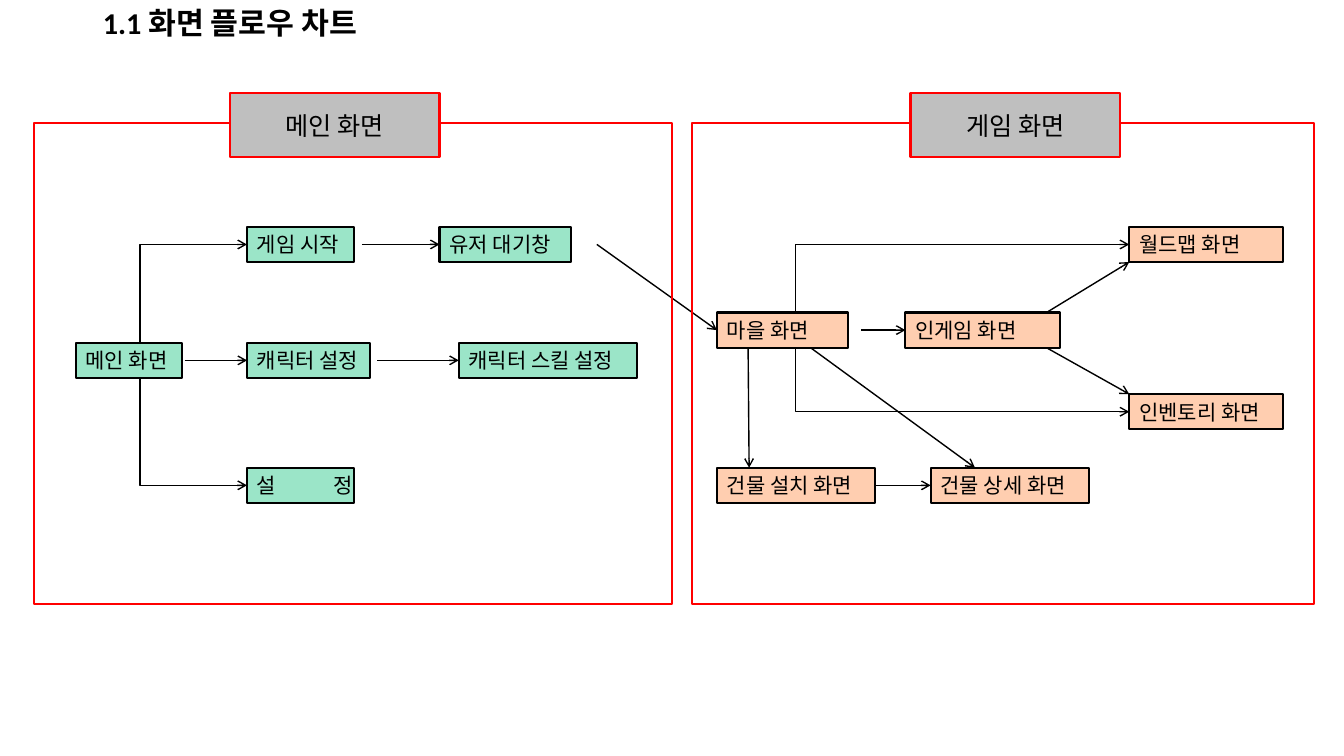
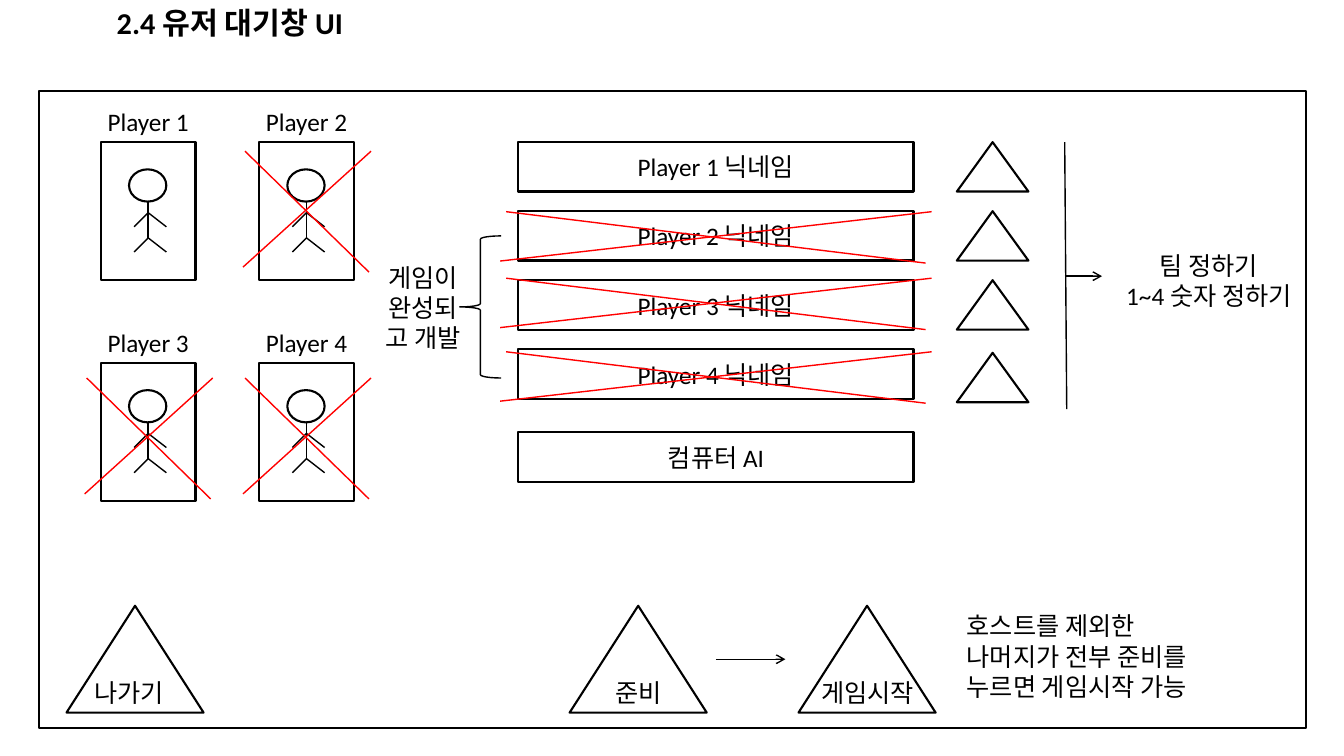
from dataclasses import dataclass

from lxml.etree import SubElement
from pptx import Presentation
from pptx.dml.color import RGBColor
from pptx.enum.shapes import MSO_CONNECTOR as LINK, MSO_SHAPE as SHAPE
from pptx.enum.text import MSO_ANCHOR as ANCHOR, MSO_AUTO_SIZE as FIT, PP_ALIGN as ALIGN
from pptx.oxml.ns import qn
from pptx.util import Inches, Pt

# Shared style, lengths in inches
FONT = "Calibri"
BLACK, RED, GRAY = "000000", "FF0000", "BFBFBF"
MINT, PEACH = "9BE5C8", "FFCEB0"
TITLE_SIZE, BODY_SIZE, NODE_SIZE = 21.6, 18, 15
OUTLINE, THIN = 1.5, 1
NODE_H = 0.35


@dataclass
class Node:
    """A screen in the flow chart."""
    text: str
    x: float
    y: float
    w: float

    @property
    def right(self):
        return self.x + self.w

    @property
    def bottom(self):
        return self.y + NODE_H

    @property
    def mid(self):
        return self.y + NODE_H / 2


def color(hex_code):
    return RGBColor.from_string(hex_code)


def write(frame, text, size=BODY_SIZE, align=ALIGN.CENTER, anchor=ANCHOR.TOP, bold=False):
    frame.text = text
    frame.word_wrap = True
    frame.auto_size = FIT.NONE
    frame.vertical_anchor = anchor
    for paragraph in frame.paragraphs:
        paragraph.alignment = align
        for run in paragraph.runs:
            run.font.name = FONT
            run.font.size = Pt(size)
            run.font.bold = bold
            run.font.color.rgb = color(BLACK)


def add_titled_slide(prs, title_text):
    slide = prs.slides.add_slide(prs.slide_layouts[5])
    title = slide.shapes.title
    title.left, title.top, title.width, title.height = map(Inches, (0, 0, 4.56, 0.44))
    write(title.text_frame, title_text, TITLE_SIZE, anchor=ANCHOR.MIDDLE, bold=True)
    return slide


def add_outline(slide, kind, x, y, w, h, fill=None, line=BLACK, weight=OUTLINE):
    outline = slide.shapes.add_shape(kind, *map(Inches, (x, y, w, h)))
    outline.shadow.inherit = False
    if fill:
        outline.fill.solid()
        outline.fill.fore_color.rgb = color(fill)
    else:
        outline.fill.background()
    outline.line.color.rgb = color(line)
    outline.line.width = Pt(weight)
    return outline


def add_label(slide, text, x, y, w, h, **style):
    label = slide.shapes.add_textbox(*map(Inches, (x, y, w, h)))
    write(label.text_frame, text, **style)


def add_line(slide, x1, y1, x2, y2, line=BLACK, arrow=None, kind=LINK.STRAIGHT):
    """arrow is None, 'headEnd' (at the start) or 'tailEnd' (at the end)."""
    link = slide.shapes.add_connector(kind, *map(Inches, (x1, y1, x2, y2)))
    link.line.color.rgb = color(line)
    link.line.width = Pt(THIN)
    if arrow:
        SubElement(link.line._get_or_add_ln(), qn(f"a:{arrow}"), type="arrow")
    SubElement(link._element.spPr, qn("a:effectLst"))
    return link


def add_arrow(slide, x1, y1, x2, y2):
    add_line(slide, x1, y1, x2, y2, arrow="tailEnd")


def add_corner_arrow(slide, x1, y1, x2, y2):
    """Runs vertically from the start, then horizontally to the tip."""
    # The one-corner preset starts horizontally, so it is drawn from the tip
    link = add_line(slide, x2, y2, x1, y1, arrow="headEnd", kind=LINK.ELBOW)
    link._element.spPr.find(qn("a:prstGeom")).set("prst", "bentConnector2")


def add_cross(slide, x, y, w, h, inset, drop):
    add_line(slide, x, y + h, x + w, y, RED)
    add_line(slide, x + inset, y, x + w - inset, y + h + drop, RED)


def add_node(slide, node, fill):
    box = add_outline(slide, SHAPE.RECTANGLE, node.x, node.y, node.w, NODE_H, fill)
    write(box.text_frame, node.text, NODE_SIZE, ALIGN.LEFT, ANCHOR.MIDDLE)
    box.text_frame.margin_right = 0
    if "\t" in node.text:
        props = box.text_frame.paragraphs[0]._p.get_or_add_pPr()
        stops = SubElement(props, qn("a:tabLst"))
        SubElement(stops, qn("a:tab"), pos=str(Inches(0.76)), algn="l")


def add_panel(slide, text, x, w, tag_x):
    add_outline(slide, SHAPE.RECTANGLE, x, 1.22, w, 4.77, line=RED)
    tag = add_outline(slide, SHAPE.RECTANGLE, tag_x, 0.92, 2.08, 0.64, GRAY, RED)
    write(tag.text_frame, text, anchor=ANCHOR.MIDDLE)


def build_flow_chart(prs):
    slide = add_titled_slide(prs, "1.1 화면 플로우 차트")
    top, middle, low = 2.25, 3.4, 4.64
    village_row, inventory_row = 3.1, 3.91

    # Main screens
    home = Node("메인 화면", 0.75, middle, 1.06)
    start = Node("게임 시작", 2.45, top, 1.06)
    character = Node("캐릭터 설정", 2.45, middle, 1.22)
    settings = Node("설\t정", 2.45, low, 1.06)
    lobby = Node("유저 대기창", 4.36, top, 1.3)
    skills = Node("캐릭터 스킬 설정", 4.55, middle, 1.77)

    # Game screens
    village = Node("마을 화면", 7.11, village_row, 1.3)
    ingame = Node("인게임 화면", 8.98, village_row, 1.53)
    inventory = Node("인벤토리 화면", 11.2, inventory_row, 1.53)
    world_map = Node("월드맵 화면", 11.2, top, 1.53)
    build = Node("건물 설치 화면", 7.11, low, 1.57)
    detail = Node("건물 상세 화면", 9.23, low, 1.57)

    for fill, nodes in (
        (MINT, (home, start, character, settings, lobby, skills)),
        (PEACH, (village, ingame, inventory, world_map, build, detail)),
    ):
        for node in nodes:
            add_node(slide, node, fill)

    # Level arrows, with the gap left after the first screen
    for source, target, gap in (
        (home, character, 0.02), (start, lobby, 0.08), (character, skills, 0.07),
        (village, ingame, 0.13), (build, detail, 0),
    ):
        add_arrow(slide, source.right + gap, target.mid, target.x, target.mid)

    # Slanted arrows
    fork = ingame.right - 0.13
    for ends in (
        (lobby.right + 0.26, lobby.mid, village.x, village.mid),
        (fork, ingame.y, world_map.x, world_map.bottom),
        (fork, ingame.bottom, inventory.x, inventory.y),
        (7.42, village.bottom, 7.43, build.y),
        (8.04, village.bottom, 9.67, detail.y),
    ):
        add_arrow(slide, *ends)

    # Arrows round a corner
    for x, source, targets in (
        (1.39, home, (start, settings)), (7.89, village, (world_map, inventory)),
    ):
        for target, edge in zip(targets, (source.y, source.bottom)):
            add_corner_arrow(slide, x, edge, target.x, target.mid)

    add_panel(slide, "메인 화면", 0.34, 6.33, 2.28)
    add_panel(slide, "게임 화면", 6.86, 6.17, 9.03)


def add_player_card(slide, number, x, y):
    add_outline(slide, SHAPE.RECTANGLE, x, y, 0.94, 1.37)
    add_label(slide, f"Player {number}", x - 0.08, y - 0.4, 1.1, 0.4)
    # Stick figure: head, body, arms and legs
    spine = x + 0.47
    add_outline(slide, SHAPE.OVAL, x + 0.28, y + 0.27, 0.37, 0.32)
    add_line(slide, spine, y + 0.59, spine, y + 0.95)
    for joint in (y + 0.7, y + 0.95):
        for reach in (-0.14, 0.18):
            add_line(slide, spine, joint, spine + reach, joint + 0.14)


def build_lobby(prs):
    slide = add_titled_slide(prs, "2.4 유저 대기창 UI")
    add_outline(slide, SHAPE.RECTANGLE, 0.39, 0.9, 12.56, 6.32)

    # Player cards in a two by two grid, all but the first crossed out
    for index in range(4):
        row, column = divmod(index, 2)
        x = 1 + 1.57 * column
        add_player_card(slide, index + 1, x, 1.41 + 2.19 * row)
        if index:
            add_cross(slide, x - 0.16, 1.5 + 2.25 * row, 1.27, 1.15, 0.02, 0.05)

    # Nickname rows with their team buttons
    names = [f"Player {number} 닉네임" for number in range(1, 5)] + ["컴퓨터 AI"]
    row_tops = [1.41 + 0.685 * index for index in range(4)] + [4.29]
    for name, y in zip(names, row_tops):
        row = add_outline(slide, SHAPE.RECTANGLE, 5.14, y, 3.92, 0.49)
        write(row.text_frame, name, anchor=ANCHOR.MIDDLE)
    for y in row_tops[:3] + [3.5]:
        add_outline(slide, SHAPE.ISOSCELES_TRIANGLE, 9.49, y, 0.71, 0.49)
    for y in (2.1, 2.76, 3.49):
        add_cross(slide, 4.96, y, 4.28, 0.49, 0.06, 0.02)

    # Notes beside the rows
    brace = add_outline(slide, SHAPE.LEFT_BRACE, 4.56, 2.34, 0.41, 1.41, weight=THIN)
    brace.adjustments[0] = 0.08
    add_label(slide, "게임이 완성되고 개발", 3.68, 2.55, 1.03, 1, anchor=ANCHOR.MIDDLE)
    add_line(slide, 10.56, 1.41, 10.58, 4.06)
    add_arrow(slide, 10.56, 2.74, 10.93, 2.74)
    add_label(slide, "팀 정하기\n1~4 숫자 정하기", 10.93, 2.43, 2.12, 0.7)

    # Bottom buttons
    for text, x, shift, align in (
        ("나가기", 0.66, 0.18, ALIGN.LEFT),
        ("준비", 5.65, 0.05, ALIGN.CENTER),
        ("게임시작", 7.92, 0.05, ALIGN.CENTER),
    ):
        add_outline(slide, SHAPE.ISOSCELES_TRIANGLE, x, 6.01, 1.36, 1.06)
        add_label(slide, text, x + shift, 6.67, 1.27, 0.4, align=align)
    add_arrow(slide, 7.1, 6.54, 7.79, 6.54)
    add_label(slide, "호스트를 제외한 나머지가 전부 준비를 누르면 게임시작 가능",
              9.49, 6.01, 2.82, 0.99, align=ALIGN.LEFT)


def main():
    prs = Presentation()
    prs.slide_width, prs.slide_height = Inches(13.33), Inches(7.5)
    build_flow_chart(prs)
    build_lobby(prs)
    prs.save("out.pptx")


if __name__ == "__main__":
    main()
